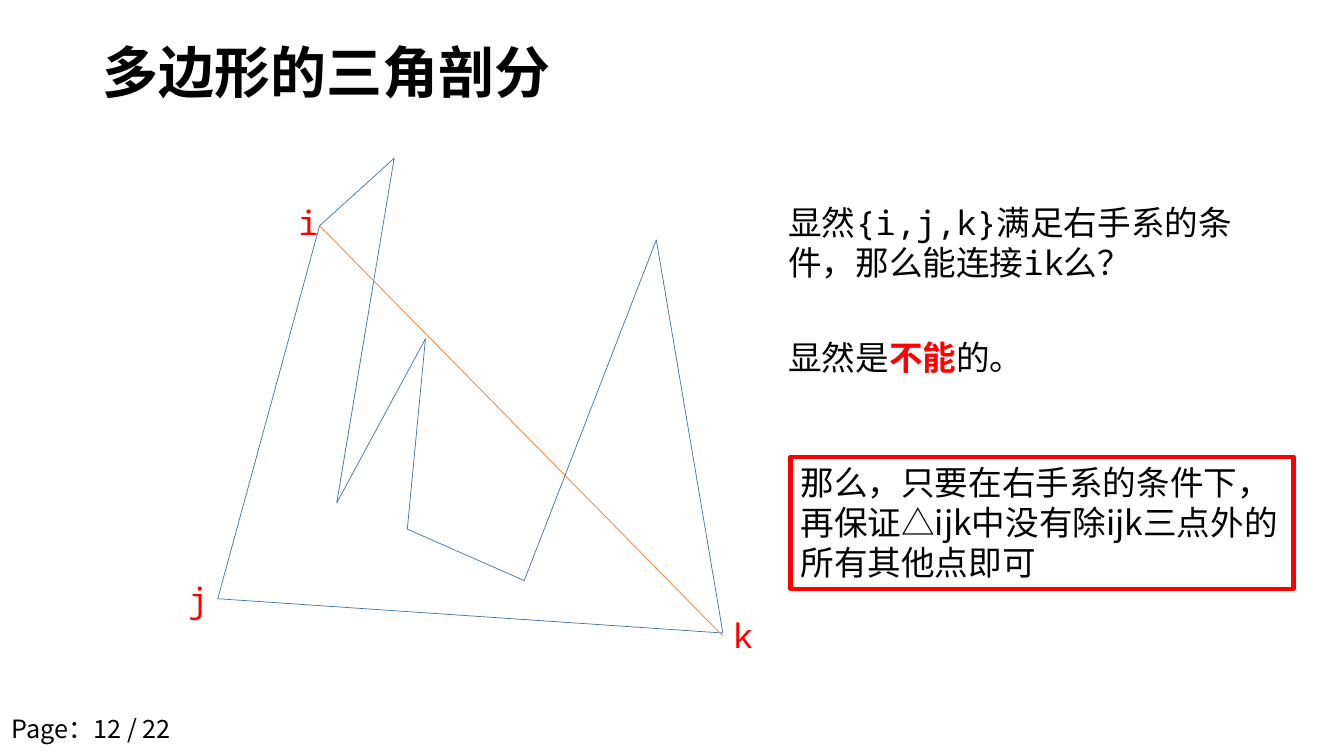
from dataclasses import dataclass

from pptx import Presentation
from pptx.dml.color import RGBColor
from pptx.enum.shapes import MSO_CONNECTOR, MSO_SHAPE
from pptx.enum.text import MSO_ANCHOR, PP_ALIGN
from pptx.oxml.ns import qn
from pptx.slide import Slide
from pptx.text.text import TextFrame
from pptx.util import Inches, Pt

BLACK = RGBColor(0x00, 0x00, 0x00)
RED = RGBColor(0xFF, 0x00, 0x00)
BLUE = RGBColor(0x43, 0x73, 0x9E)
ORANGE = RGBColor(0xED, 0x7D, 0x31)
SANS = "Noto Sans CJK SC"
MONO = "Noto Sans Mono"

POLYGON = [
    (3.17, 2.24), (2.16, 5.94), (7.17, 6.28), (6.51, 2.38), (5.2, 5.76),
    (4.04, 5.25), (4.22, 3.36), (3.34, 4.99), (3.91, 1.57),
]
DIAGONAL = [(3.17, 2.24), (7.17, 6.31)]


@dataclass(frozen=True)
class Span:
    text: str
    color: RGBColor = BLACK
    bold: bool = False


@dataclass(frozen=True)
class Label:
    left: float
    top: float
    width: float
    height: float
    spans: tuple[Span, ...]
    font: str = SANS
    size: int = 24


LABELS = [
    Label(0.02, 7.03, 1.92, 0.4, (Span("Page：12 / 22"),), size=18),
    Label(2.86, 1.95, 0.55, 0.5, (Span("i", RED),), MONO),
    Label(1.77, 5.69, 0.55, 0.5, (Span("j", RED),), MONO),
    Label(7.17, 6.05, 0.55, 0.5, (Span("k", RED),), MONO),
    Label(7.72, 1.95, 4.78, 0.91,
          (Span("显然{i,j,k}满足右手系的条件，那么能连接ik么？"),), MONO),
    Label(7.72, 3.29, 4.46, 0.5,
          (Span("显然是"), Span("不能", RED, True), Span("的。"))),
]
CONCLUSION = Label(
    7.84, 4.53, 4.99, 1.31,
    (Span("那么，只要在右手系的条件下，再保证△ijk中没有除ijk三点外的所有其他点即可"),))
TITLE = Label(0.92, 0.02, 11.5, 1.45,
              (Span("多边形的三角剖分", bold=True),), size=40)


def bounds(label: Label) -> tuple[Inches, ...]:
    return tuple(Inches(length) for length in
                 (label.left, label.top, label.width, label.height))


def write(frame: TextFrame, label: Label, anchor: MSO_ANCHOR = MSO_ANCHOR.TOP) -> None:
    frame.word_wrap = True
    frame.vertical_anchor = anchor
    para = frame.paragraphs[0]
    para.alignment = PP_ALIGN.LEFT
    for span in label.spans:
        run = para.add_run()
        run.text = span.text
        run.font.name = label.font
        run.font.size = Pt(label.size)
        run.font.bold = span.bold
        run.font.color.rgb = span.color
        east_asian = run.font._element.makeelement(qn("a:ea"), {"typeface": SANS})
        run.font._element.find(qn("a:latin")).addnext(east_asian)


def add_title(page: Slide) -> None:
    title = page.shapes.title
    title.left, title.top, title.width, title.height = bounds(TITLE)
    write(title.text_frame, TITLE, MSO_ANCHOR.MIDDLE)
    title.text_frame.paragraphs[0].line_spacing = 0.9


def add_polygon(page: Slide) -> None:
    start, *others = [(Inches(x), Inches(y)) for x, y in POLYGON]
    builder = page.shapes.build_freeform(*start)
    builder.add_line_segments(others, close=True)
    polygon = builder.convert_to_shape()
    polygon.shadow.inherit = False
    polygon.fill.background()
    polygon.line.color.rgb = BLUE
    polygon.line.width = Pt(0.5)


def add_diagonal(page: Slide) -> None:
    ends = [Inches(length) for point in DIAGONAL for length in point]
    diagonal = page.shapes.add_connector(MSO_CONNECTOR.STRAIGHT, *ends)
    diagonal.line.color.rgb = ORANGE
    diagonal.line.width = Pt(0.5)
    properties = diagonal._element.spPr
    properties.append(properties.makeelement(qn("a:effectLst"), {}))


def add_conclusion(page: Slide) -> None:
    box = page.shapes.add_shape(MSO_SHAPE.RECTANGLE, *bounds(CONCLUSION))
    box.shadow.inherit = False
    box.fill.background()
    box.line.color.rgb = RED
    box.line.width = Pt(3)
    write(box.text_frame, CONCLUSION)


def main() -> None:
    deck = Presentation()
    deck.slide_width, deck.slide_height = Inches(13.33), Inches(7.5)
    page = deck.slides.add_slide(deck.slide_layouts[5])
    add_title(page)
    add_polygon(page)
    add_diagonal(page)
    for label in LABELS:
        write(page.shapes.add_textbox(*bounds(label)).text_frame, label)
    add_conclusion(page)
    deck.save("out.pptx")


if __name__ == "__main__":
    main()
